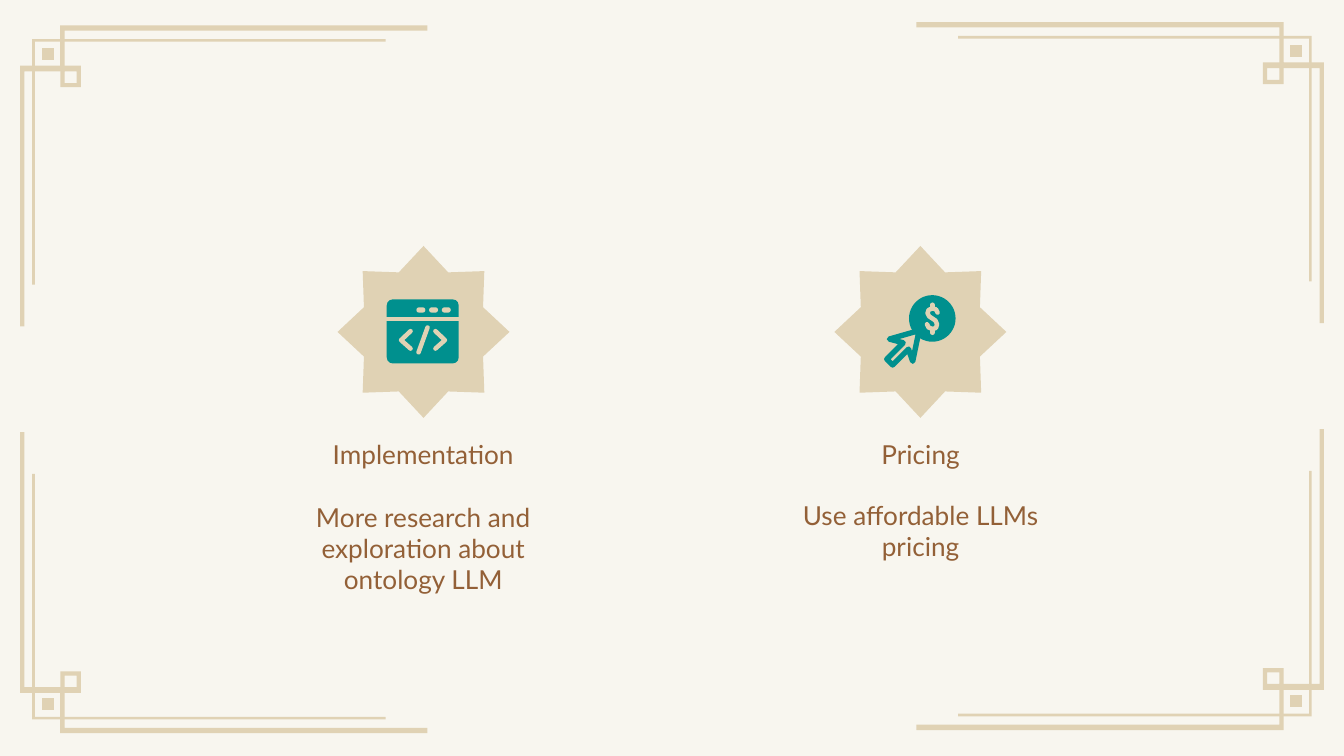
from lxml.etree import SubElement
from pptx import Presentation
from pptx.dml.color import RGBColor
from pptx.enum.shapes import MSO_CONNECTOR, MSO_SHAPE
from pptx.enum.text import PP_ALIGN
from pptx.oxml.ns import qn
from pptx.util import Cm, Pt

HUES = {"paper": "F8F6EF", "sand": "E0D2B4", "teal": "00908E", "brown": "936037"}

# Top-left corner ornament in cm: each part is a list of contours
CORNER = [
    # thin rail
    [[(0.61, 0.74), (0.61, 5.38), (0.66, 5.38), (0.66, 0.79), (7.29, 0.79), (7.29, 0.74)]],
    # thick rail
    [[(1.14, 0.48), (1.14, 1.24), (0.38, 1.24), (0.38, 6.17), (0.46, 6.17),
      (0.46, 1.35), (1.22, 1.35), (1.22, 0.58), (8.08, 0.58), (8.08, 0.48)]],
    # open square
    [[(1.45, 1.35), (1.45, 1.57), (1.22, 1.57), (1.22, 1.35)],
     [(1.14, 1.24), (1.14, 1.65), (1.53, 1.65), (1.53, 1.24)]],
    # small square
    [[(0.79, 0.91), (0.79, 1.14), (1.02, 1.14), (1.02, 0.91)]],
]
WIDE, HIGH = 25.4, 14.29
FLIP, RISE = 14.34, 0.06  # vertical mirror sum, lift of the right-hand corners

DOLLAR = [(17.72, 5.91), (17.69, 5.85), (17.62, 5.83), (17.55, 5.86),
          (17.53, 5.92), (17.56, 5.98), (17.68, 6.06), (17.71, 6.13),
          (17.69, 6.2), (17.62, 6.22), (17.55, 6.19), (17.52, 6.13)]
ARROW = [(17.37, 6.25), (16.81, 6.41), (17.07, 6.48), (16.76, 6.79),
         (16.87, 6.9), (17.17, 6.6), (17.25, 6.83)]

# Star left, text left, heading, body, gap between them in points
TOPICS = [
    (6.38, 4.85, "Implementation", "More research and exploration about ontology LLM", 17),
    (15.77, 14.25, "Pricing", "Use affordable LLMs pricing", 16),
]


def tint(name):
    return RGBColor.from_string(HUES[name])


def paint(shape, hue):
    shape.shadow.inherit = False
    shape.line.fill.background()
    if hue:
        shape.fill.solid()
        shape.fill.fore_color.rgb = tint(hue)
    else:
        shape.fill.background()


def pen(shape, hue, width):
    """Give a shape or connector a line with round ends and joins."""
    shape.line.color.rgb = tint(hue)
    shape.line.width = Pt(width)
    line = shape.element.spPr.find(qn("a:ln"))
    line.set("cap", "rnd")
    SubElement(line, qn("a:round"))


def block(slide, kind, left, top, wide, high, hue, bends=()):
    shape = slide.shapes.add_shape(kind, Cm(left), Cm(top), Cm(wide), Cm(high))
    for i, bend in enumerate(bends):
        shape.adjustments[i] = bend
    paint(shape, hue)


def trace(slide, loops, hue=None, close=True):
    """Draw one outline made of one or more contours."""
    loops = [[(Cm(x), Cm(y)) for x, y in loop] for loop in loops]
    build = slide.shapes.build_freeform(*loops[0][0], scale=1.0)
    for i, loop in enumerate(loops):
        if i:
            build.move_to(*loop[0])
        build.add_line_segments(loop[1:], close=close)
    shape = build.convert_to_shape()
    paint(shape, hue)
    return shape


def stroke(slide, x1, y1, x2, y2, width):
    line = slide.shapes.add_connector(
        MSO_CONNECTOR.STRAIGHT, Cm(x1), Cm(y1), Cm(x2), Cm(y2))
    pen(line, "sand", width)
    SubElement(line.element.spPr, qn("a:effectLst"))


def frame(slide):
    for right in (False, True):
        for low in (False, True):
            for part in CORNER:
                loops = [[(WIDE - x if right else x,
                           (FLIP - y if low else y) - RISE * right)
                          for x, y in loop] for loop in part]
                trace(slide, loops, "sand")


def label(slide, left, head, body, gap):
    box = slide.shapes.add_textbox(Cm(left), Cm(8.03), Cm(6.3), Cm(1.5))
    text = box.text_frame
    form = {"word_wrap": True, "margin_left": Cm(0.25), "margin_right": Cm(0.25),
            "margin_top": Cm(0.25), "margin_bottom": Cm(0.25)}
    for key, value in form.items():
        setattr(text, key, value)
    face = {"name": "Lato", "size": Pt(14), "bold": False}
    for i, words in enumerate((head, body)):
        para = text.add_paragraph() if i else text.paragraphs[0]
        para.text = words
        para.alignment = PP_ALIGN.CENTER
        for key, value in face.items():
            setattr(para.font, key, value)
        para.font.color.rgb = tint("brown")
    text.paragraphs[0].space_after = Pt(gap)


def code_icon(slide):
    # window bar and pane
    cap = MSO_SHAPE.ROUND_2_SAME_RECTANGLE
    block(slide, cap, 7.31, 5.66, 1.36, 0.33, "teal", (0.34, 0))
    block(slide, cap, 7.31, 6.07, 1.36, 0.8, "teal", (0, 0.14))
    # buttons
    for i in range(3):
        block(slide, MSO_SHAPE.ROUNDED_RECTANGLE, 7.87 + 0.24 * i, 5.81,
              0.17, 0.1, "sand", (0.5,))
    # angle brackets and slash
    for edge, tip in ((7.76, 7.58), (8.23, 8.41)):
        mark = trace(slide, [[(edge, 6.26), (tip, 6.43), (edge, 6.59)]], close=False)
        pen(mark, "sand", 2.4)
    stroke(slide, 8.08, 6.19, 7.91, 6.66, 2.4)


def price_icon(slide):
    # coin
    block(slide, MSO_SHAPE.OVAL, 17.18, 5.58, 0.88, 0.88, "teal")
    pen(trace(slide, [DOLLAR], close=False), "sand", 2.4)
    for top in (5.76, 6.22):
        stroke(slide, 17.62, top, 17.62, top + 0.07, 2.4)
    # pointer
    pen(trace(slide, [ARROW], "sand"), "teal", 2.9)


def main():
    deck = Presentation()
    deck.slide_width, deck.slide_height = Cm(WIDE), Cm(HIGH)
    slide = deck.slides.add_slide(deck.slide_layouts[6])
    slide.background.fill.solid()
    slide.background.fill.fore_color.rgb = tint("paper")
    frame(slide)
    for star, left, head, body, gap in TOPICS:
        block(slide, MSO_SHAPE.STAR_8_POINT, star, 4.65, 3.25, 3.25, "sand", (0.375,))
        label(slide, left, head, body, gap)
    code_icon(slide)
    price_icon(slide)
    deck.save("out.pptx")


if __name__ == "__main__":
    main()
